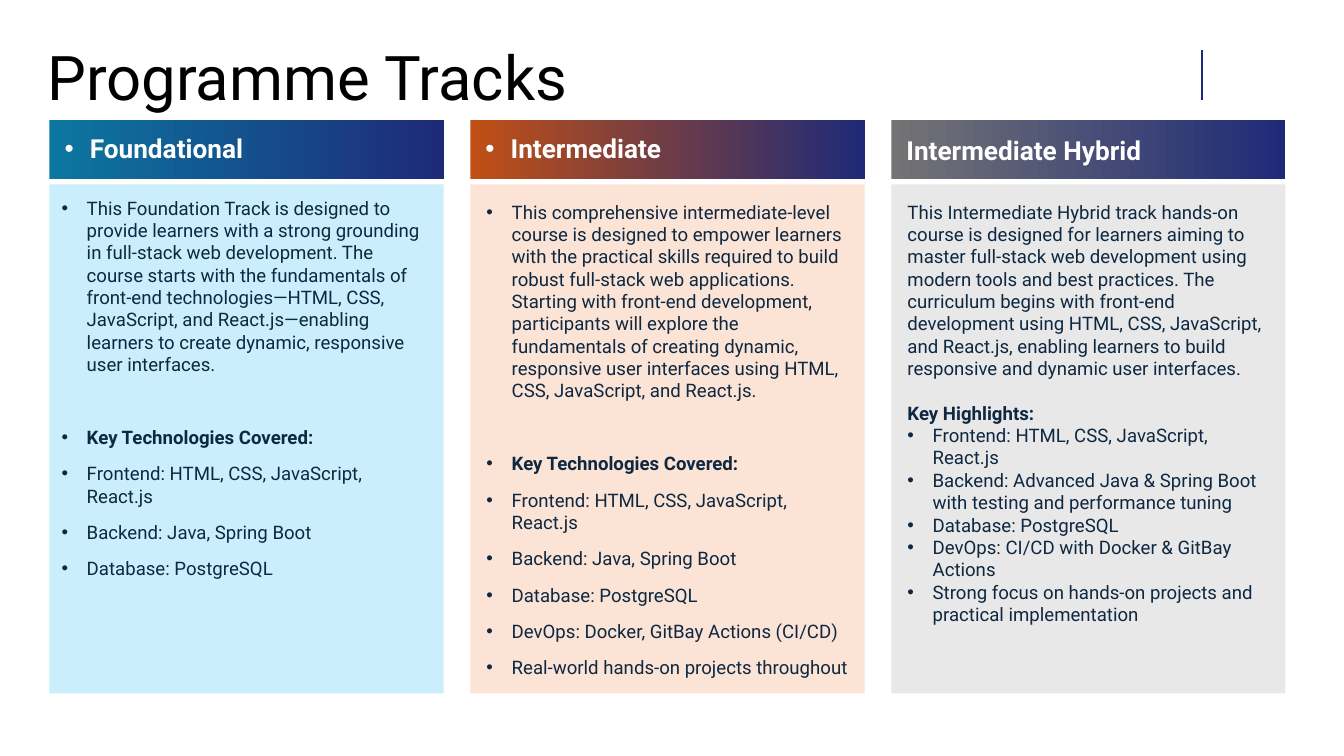
from lxml.etree import SubElement
from pptx import Presentation
from pptx.dml.color import RGBColor
from pptx.enum.shapes import MSO_CONNECTOR as Connector, MSO_SHAPE as Shape
from pptx.enum.text import MSO_ANCHOR as Anchor, PP_ALIGN as Align
from pptx.oxml.ns import qn
from pptx.util import Inches, Pt

TITLE = "Programme Tracks"
STACK = "Frontend: HTML, CSS, JavaScript, React.js"
TRACKS = [
    dict(
        name="Foundational", accent="0B76A0", panel="CAEEFB", inset=0.12,
        bulleted=True, item_gap=10, heading_gap=36,
        intro="This Foundation Track is designed to provide learners with a strong "
              "grounding in full-stack web development. The course starts with the "
              "fundamentals of front-end technologies—HTML, CSS, JavaScript, and "
              "React.js—enabling learners to create dynamic, responsive user interfaces.",
        heading="Key Technologies Covered:",
        items=[STACK, "Backend: Java, Spring Boot", "Database: PostgreSQL"],
    ),
    dict(
        name="Intermediate", accent="C04F15", panel="FBE3D6", inset=0.16,
        bulleted=True, item_gap=10, heading_gap=36,
        intro="This comprehensive intermediate-level course is designed to empower "
              "learners with the practical skills required to build robust full-stack "
              "web applications. Starting with front-end development, participants will "
              "explore the fundamentals of creating dynamic, responsive user interfaces "
              "using HTML, CSS, JavaScript, and React.js.",
        heading="Key Technologies Covered:",
        items=[STACK, "Backend: Java, Spring Boot", "Database: PostgreSQL",
               "DevOps: Docker, GitBay Actions (CI/CD)",
               "Real-world hands-on projects throughout"],
    ),
    dict(
        name="Intermediate Hybrid", accent="747474", panel="E8E8E8", inset=0.16,
        bulleted=False, item_gap=0, heading_gap=16,
        intro="This Intermediate Hybrid track hands-on course is designed for learners "
              "aiming to master full-stack web development using modern tools and best "
              "practices. The curriculum begins with front-end development using HTML, "
              "CSS, JavaScript, and React.js, enabling learners to build responsive and "
              "dynamic user interfaces.",
        heading="Key Highlights:",
        items=[STACK,
               "Backend: Advanced Java & Spring Boot with testing and performance tuning",
               "Database: PostgreSQL",
               "DevOps: CI/CD with Docker & GitBay Actions",
               "Strong focus on hands-on projects and practical implementation"],
    ),
]

THEME = dict(font="Roboto", title="000000", header="FFFFFF", body="0E2841", navy="1E2A78",
             title_size=44, header_size=18.7, body_size=13.3)

LEFT, PITCH, COLUMN_WIDTH = 0.49, 4.175, 3.91
HEADER_TOP, HEADER_HEIGHT = 1.19, 0.59
PANEL_TOP, PANEL_HEIGHT = 1.83, 5.05
BULLET_INDENT = Inches(0.25)


def set_frame(frame, side, top, anchor=Anchor.TOP):
    frame.word_wrap = True
    frame.vertical_anchor = anchor
    frame.margin_left = frame.margin_right = Inches(side)
    frame.margin_top = frame.margin_bottom = Inches(top)


def write(paragraph, text, role, bold=False, bullet=False, before=0, spacing=1.0):
    """Fill a paragraph in the theme's colour and size for the role."""
    paragraph.alignment = Align.LEFT
    paragraph.space_before = Pt(before)
    paragraph.line_spacing = spacing
    if bullet:
        properties = paragraph._p.get_or_add_pPr()
        properties.set("marL", str(BULLET_INDENT))
        properties.set("indent", str(-BULLET_INDENT))
        SubElement(properties, qn("a:buFont")).set("typeface", "Arial")
        SubElement(properties, qn("a:buChar")).set("char", "•")
    run = paragraph.add_run()
    run.text = text
    run.font.name = THEME["font"]
    run.font.size = Pt(THEME[role + "_size"])
    run.font.bold = bold
    run.font.color.rgb = RGBColor.from_string(THEME[role])


def add_block(slide, left, top, height):
    block = slide.shapes.add_shape(Shape.RECTANGLE, Inches(left), Inches(top),
                                   Inches(COLUMN_WIDTH), Inches(height))
    block.shadow.inherit = False
    block.line.fill.background()
    return block


def add_header(slide, left, track):
    header = add_block(slide, left, HEADER_TOP, HEADER_HEIGHT)
    header.fill.gradient()
    header.fill.gradient_angle = 0
    for stop, color in zip(header.fill.gradient_stops, (track["accent"], THEME["navy"])):
        stop.color.rgb = RGBColor.from_string(color)
    set_frame(header.text_frame, 0.15, 0.07, Anchor.MIDDLE)
    write(header.text_frame.paragraphs[0], track["name"], "header", bold=True,
          bullet=track["bulleted"], spacing=0.9 if track["bulleted"] else 1.0)


def add_panel(slide, left, track):
    panel = add_block(slide, left, PANEL_TOP, PANEL_HEIGHT)
    panel.fill.solid()
    panel.fill.fore_color.rgb = RGBColor.from_string(track["panel"])
    frame = panel.text_frame
    set_frame(frame, track["inset"], track["inset"])
    write(frame.paragraphs[0], track["intro"], "body", bullet=track["bulleted"])
    write(frame.add_paragraph(), track["heading"], "body", bold=True,
          bullet=track["bulleted"], before=track["heading_gap"])
    for item in track["items"]:
        write(frame.add_paragraph(), item, "body", bullet=True, before=track["item_gap"])


def main():
    deck = Presentation()
    deck.slide_width, deck.slide_height = Inches(13.33), Inches(7.5)
    slide = deck.slides.add_slide(deck.slide_layouts[6])

    title = slide.shapes.add_textbox(Inches(0.47), Inches(0.47), Inches(11.38), Inches(0.52))
    set_frame(title.text_frame, 0, 0)
    write(title.text_frame.paragraphs[0], TITLE, "title", spacing=0.9)

    for column, track in enumerate(TRACKS):
        left = LEFT + column * PITCH
        add_panel(slide, left, track)
        add_header(slide, left, track)

    divider = slide.shapes.add_connector(Connector.STRAIGHT, Inches(11.92), Inches(0.5),
                                         Inches(11.92), Inches(0.99))
    divider.line.color.rgb = RGBColor.from_string(THEME["navy"])
    divider.line.width = Pt(1)
    SubElement(divider._element.spPr, qn("a:effectLst"))

    deck.save("out.pptx")


if __name__ == "__main__":
    main()
